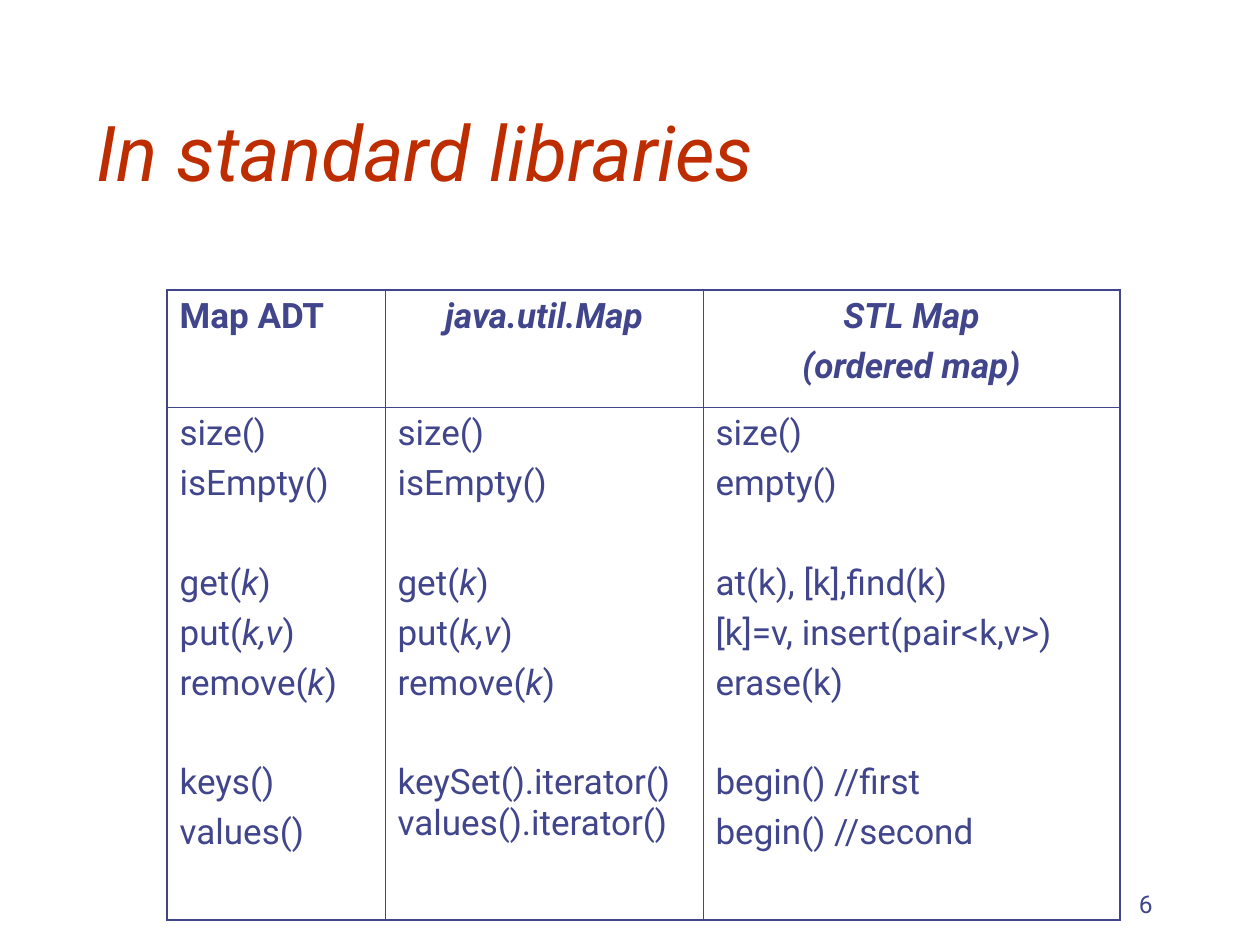
from lxml.etree import SubElement
from pptx import Presentation
from pptx.dml.color import RGBColor
from pptx.enum.text import MSO_ANCHOR, PP_ALIGN
from pptx.oxml.ns import qn
from pptx.util import Pt

SCALE = 914400 / 126  # EMU in one px
COLORS = {"title": "BE2D00", "text": "40458C"}
THIN, THICK = 0.45, 1.08
SPACE, GAP = 5, 33.4  # points before a line, and before a new group


def px(num):
    return round(num * SCALE)


class Deck:
    font = "Roboto"

    def __init__(self, wide, high):
        self.prs = Presentation()
        self.prs.slide_width, self.prs.slide_height = px(wide), px(high)
        self.slide = self.prs.slides.add_slide(self.prs.slide_layouts[6])

    def run(self, para, text, size, color="text", bold=False, italic=False):
        run = para.add_run()
        run.text = text
        font = run.font
        font.name, font.size = self.font, Pt(size)
        font.bold, font.italic = bold, italic
        font.color.rgb = RGBColor.from_string(COLORS[color])

    def text(self, box, text, size, align=PP_ALIGN.LEFT, foot=6, **style):
        frame = self.slide.shapes.add_textbox(*map(px, box)).text_frame
        frame.word_wrap = True
        frame.vertical_anchor = MSO_ANCHOR.BOTTOM
        frame.margin_bottom = px(foot)
        para = frame.paragraphs[0]
        para.alignment = align
        self.run(para, text, size, **style)

    def edge(self, cell, sides):
        props = cell._tc.get_or_add_tcPr()
        for side, width in sides.items():
            line = SubElement(props, qn("a:ln" + side), w=str(Pt(width)))
            fill = SubElement(line, qn("a:solidFill"))
            SubElement(fill, qn("a:srgbClr"), val=COLORS["text"])

    def fill(self, cell, groups, align, **style):
        """Write groups of lines; text between asterisks is italic."""
        paras = cell.text_frame.paragraphs
        para = paras[0]
        for g, group in enumerate(groups):
            for n, line in enumerate(group):
                if g or n:
                    para = cell.text_frame.add_paragraph()
                para.alignment = align
                para.space_before = Pt(GAP if g and not n else SPACE)
                for i, part in enumerate(line.split("*")):
                    if part:
                        self.run(para, part, 20, italic=i % 2 == 1, **style)

    def table(self, left, top, cols, rows, cells):
        box = map(px, (left, top, sum(cols), sum(rows)))
        table = self.slide.shapes.add_table(len(rows), len(cols), *box).table
        table.first_row = table.horz_banding = False
        for col, wide in zip(table.columns, cols):
            col.width = px(wide)
        for row, high in zip(table.rows, rows):
            row.height = px(high)
        for r, line in enumerate(cells):
            for c, groups in enumerate(line):
                cell = table.cell(r, c)
                outer = {"L": c == 0, "R": c == len(cols) - 1,
                         "T": r == 0, "B": r == len(rows) - 1}
                self.edge(cell, {s: THICK if o else THIN
                                 for s, o in outer.items()})
                cell.fill.background()
                mid = r == 0 and c > 0
                align = PP_ALIGN.CENTER if mid else PP_ALIGN.LEFT
                self.fill(cell, groups, align, bold=r == 0)


def main():
    deck = Deck(1260, 945)

    # Title
    deck.text((84, 42, 1071, 157), "In standard libraries", 44,
              foot=2, color="title", italic=True)

    # Map operations in each library
    head = [[["Map ADT"]], [["*java.util.Map*"]],
            [["*STL Map*", "*(ordered map)*"]]]
    size = ["size()", "isEmpty()"]
    access = ["get(*k*)", "put(*k,v*)", "remove(*k*)"]
    body = [
        [size, access, ["keys()", "values()"]],
        [size, access, ["keySet().iterator() values().iterator()"]],
        [["size()", "empty()"],
         ["at(k), [k],find(k)", "[k]=v, insert(pair<k,v>)", "erase(k)"],
         ["begin() //first", "begin() //second"]],
    ]
    deck.table(167, 290, (218, 318, 417), (117, 513), (head, body))

    # Slide number
    deck.text((903, 861, 262, 63), "6", 14, PP_ALIGN.RIGHT)

    deck.prs.save("out.pptx")


if __name__ == "__main__":
    main()
